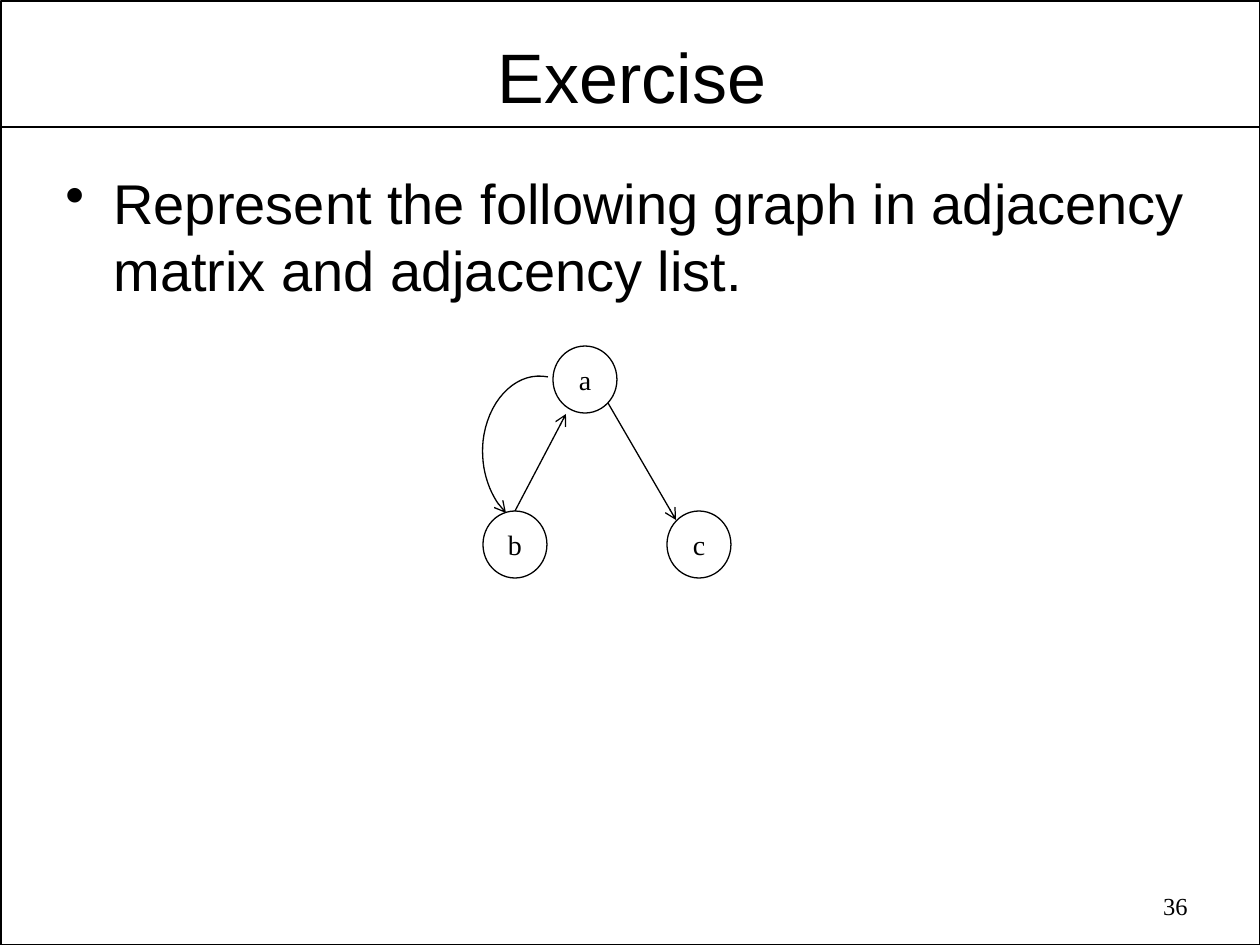
from lxml import etree
from pptx import Presentation
from pptx.dml.color import RGBColor
from pptx.enum.shapes import MSO_CONNECTOR, MSO_SHAPE
from pptx.enum.text import MSO_ANCHOR, PP_ALIGN
from pptx.oxml.ns import qn
from pptx.util import Emu, Pt

LEFT, CENTER, RIGHT = PP_ALIGN.LEFT, PP_ALIGN.CENTER, PP_ALIGN.RIGHT
MIDDLE = MSO_ANCHOR.MIDDLE
STRAIGHT = MSO_CONNECTOR.STRAIGHT
RECTANGLE, OVAL = MSO_SHAPE.RECTANGLE, MSO_SHAPE.OVAL

WIDTH, HEIGHT = 1260, 945
PX_PER_INCH = 126
BLACK = "000000"
SANS, SERIF = "Arial", "Times New Roman"
THIN, THICK = 0.75, 1

TITLE = "Exercise"
TASK = "Represent the following graph in adjacency matrix and adjacency list."
PAGE_NUMBER = "36"
NODE_SIZE = (64, 67)
NODES = {"a": (553, 346), "b": (483, 511), "c": (667, 511)}
STRAIGHT_EDGES = [((515, 511), (566, 414)), ((608, 403), (676, 520))]
# Edge a to b: two cubic Bezier pieces, each with start, two controls and end
CURVED_EDGE = [
    ((548, 377), (519, 371), (491, 396), (484, 435)),
    ((484, 435), (479, 464), (488, 495), (506, 513)),
]
CURVE_STEPS = 16


def px(value):
    return Emu(round(value * 914400 / PX_PER_INCH))


def color(value):
    return RGBColor.from_string(value)


def style_line(shape, points, arrow=False):
    shape.line.color.rgb = color(BLACK)
    shape.line.width = Pt(points)
    if arrow:
        etree.SubElement(shape.line._get_or_add_ln(), qn("a:tailEnd"), type="arrow")


def style_paragraph(paragraph, text, font_name, size, alignment):
    paragraph.text = text
    paragraph.alignment = alignment
    paragraph.font.name = font_name
    paragraph.font.size = Pt(size)
    paragraph.font.color.rgb = color(BLACK)


def add_outline(slide, preset, left, top, width, height, points):
    shape = slide.shapes.add_shape(preset, px(left), px(top), px(width), px(height))
    shape.shadow.inherit = False
    shape.fill.background()
    style_line(shape, points)
    return shape


def add_line(slide, start, end, points, arrow=False):
    line = slide.shapes.add_connector(STRAIGHT, *map(px, start + end))
    etree.SubElement(line._element.spPr, qn("a:effectLst"))
    style_line(line, points, arrow)


def add_text(slide, box, text, font_name, size, alignment, top_inset, bullet_indent=0):
    frame = slide.shapes.add_textbox(*map(px, box)).text_frame
    frame.word_wrap = True
    frame.margin_top = px(top_inset)
    paragraph = frame.paragraphs[0]
    if bullet_indent:
        properties = paragraph._p.get_or_add_pPr()
        properties.set("marL", str(px(bullet_indent)))
        properties.set("indent", str(-px(bullet_indent)))
        etree.SubElement(properties, qn("a:buChar"), char="•")
    style_paragraph(paragraph, text, font_name, size, alignment)
    return paragraph


def add_node(slide, name, position):
    node = add_outline(slide, OVAL, *position, *NODE_SIZE, THIN)
    frame = node.text_frame
    frame.margin_left = frame.margin_right = 0
    frame.margin_top = frame.margin_bottom = 0
    frame.vertical_anchor = MIDDLE
    style_paragraph(frame.paragraphs[0], name, SERIF, 16, CENTER)


def bezier_point(curve, t):
    weights = ((1 - t) ** 3, 3 * t * (1 - t) ** 2, 3 * t**2 * (1 - t), t**3)
    return tuple(px(sum(w * v for w, v in zip(weights, axis))) for axis in zip(*curve))


def add_curve(slide, curves):
    points = [
        bezier_point(curve, step / CURVE_STEPS)
        for curve in curves
        for step in range(1, CURVE_STEPS + 1)
    ]
    builder = slide.shapes.build_freeform(*bezier_point(curves[0], 0))
    builder.add_line_segments(points, close=False)
    shape = builder.convert_to_shape()
    shape.shadow.inherit = False
    shape.fill.background()
    style_line(shape, THIN, arrow=True)


def main():
    presentation = Presentation()
    presentation.slide_width, presentation.slide_height = px(WIDTH), px(HEIGHT)
    slide = presentation.slides.add_slide(presentation.slide_layouts[6])

    add_outline(slide, RECTANGLE, 1, 1, WIDTH - 1, HEIGHT - 1, THICK)
    add_line(slide, (1, 127), (WIDTH - 1, 127), THICK)

    add_text(slide, (67, 24, 1130, 91), TITLE, SANS, 40, CENTER, 10)
    task = add_text(slide, (53, 159, 1155, 156), TASK, SANS, 32, LEFT, 10, 48)
    task.line_spacing = Pt(38.3)
    add_text(slide, (905, 883, 295, 45), PAGE_NUMBER, SERIF, 14, RIGHT, 8)

    for name, position in NODES.items():
        add_node(slide, name, position)
    for start, end in STRAIGHT_EDGES:
        add_line(slide, start, end, THIN, arrow=True)
    add_curve(slide, CURVED_EDGE)

    presentation.save("out.pptx")


if __name__ == "__main__":
    main()
